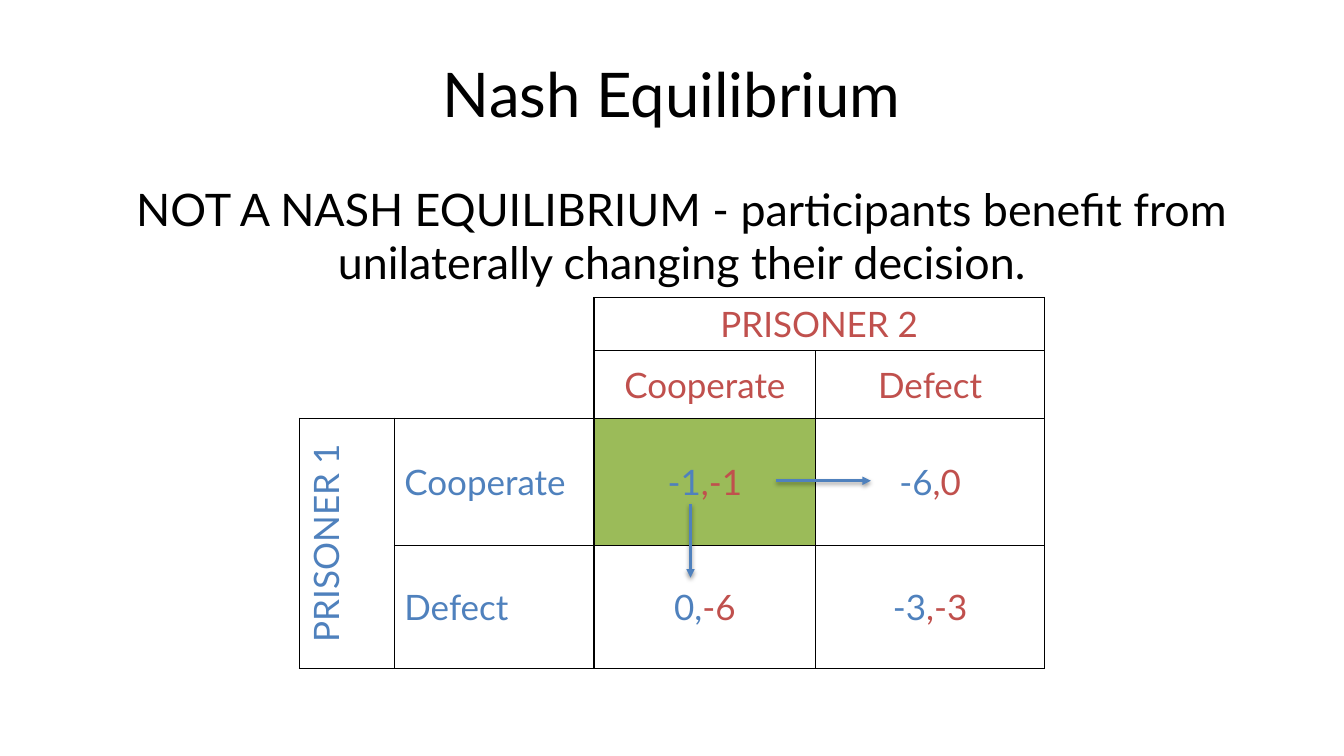
"""Builds a slide showing why mutual cooperation is not a Nash equilibrium."""
from lxml import etree
from pptx import Presentation
from pptx.dml.color import RGBColor
from pptx.enum.shapes import MSO_CONNECTOR as CONNECTOR
from pptx.enum.text import MSO_ANCHOR as ANCHOR, PP_ALIGN as ALIGN
from pptx.oxml import parse_xml
from pptx.oxml.ns import nsdecls, qn
from pptx.util import Pt

BLACK, WHITE, GREEN = "000000", "FFFFFF", "9BBB59"
BLUE, RED = "4F81BD", "C0504D"

TITLE = "Nash Equilibrium"
VERDICT = ("NOT A NASH EQUILIBRIUM - participants benefit from "
           "unilaterally changing their decision.")
MATRIX_LEFT, MATRIX_TOP = 214, 212.4
COLUMN_WIDTHS = [67.7, 142.6, 158.4, 163.4]
ROW_HEIGHTS = [38.2, 48.2, 90.7, 87.8]
MERGES = [((0, 0), (1, 1)), ((0, 2), (0, 3)), ((2, 0), (3, 0))]
LABELS = {
    (0, 2): [("PRISONER 2", RED)],
    (1, 2): [("Cooperate", RED)],
    (1, 3): [("Defect", RED)],
    (2, 0): [("PRISONER 1", BLUE)],
    (2, 1): [("Cooperate", BLUE)],
    (3, 1): [("Defect", BLUE)],
    (2, 2): [("-1", BLUE), (",-1", RED)],
    (2, 3): [("-6", BLUE), (",0", RED)],
    (3, 2): [("0,", BLUE), ("-6", RED)],
    (3, 3): [("-3", BLUE), (",-3", RED)],
}
SELECTED = (2, 2)
DEVIATIONS = [(554.4, 343.4, 622.1, 343.4), (493.2, 360, 493.2, 412.6)]


def rgb(value):
    return RGBColor.from_string(value)


def write(frame, runs, size=25, align=ALIGN.CENTER):
    paragraph = frame.paragraphs[0]
    paragraph.alignment = align
    for text, color in runs:
        run = paragraph.add_run()
        run.text = text
        run.font.name = "Lato"
        run.font.size = Pt(size)
        run.font.color.rgb = rgb(color)


def add_text(slide, text, left, top, width, height, size, anchor):
    frame = slide.shapes.add_textbox(
        Pt(left), Pt(top), Pt(width), Pt(height)).text_frame
    frame.word_wrap = True
    frame.vertical_anchor = anchor
    write(frame, [(text, BLACK)], size)


def set_borders(cell, visible):
    properties = cell._tc.get_or_add_tcPr()
    for side in "LRTB":
        line = etree.SubElement(properties, qn(f"a:ln{side}"), w=str(Pt(1)))
        if side in visible:
            fill = etree.SubElement(line, qn("a:solidFill"))
            etree.SubElement(fill, qn("a:srgbClr"), val=BLACK)
        else:
            etree.SubElement(line, qn("a:noFill"))


def add_matrix(slide):
    matrix = slide.shapes.add_table(
        len(ROW_HEIGHTS), len(COLUMN_WIDTHS), Pt(MATRIX_LEFT), Pt(MATRIX_TOP),
        Pt(sum(COLUMN_WIDTHS)), Pt(sum(ROW_HEIGHTS))).table
    matrix.first_row = matrix.horz_banding = False
    for column, width in zip(matrix.columns, COLUMN_WIDTHS):
        column.width = Pt(width)
    for row, height in zip(matrix.rows, ROW_HEIGHTS):
        row.height = Pt(height)
    for first, last in MERGES:
        matrix.cell(*first).merge(matrix.cell(*last))

    for r in range(len(ROW_HEIGHTS)):
        for c in range(len(COLUMN_WIDTHS)):
            cell = matrix.cell(r, c)
            set_borders(cell, "RB" if r < 2 and c < 2 else "LRTB")
            if (r, c) == SELECTED:
                cell.fill.solid()
                cell.fill.fore_color.rgb = rgb(GREEN)
            else:
                cell.fill.background()
            cell.vertical_anchor = ANCHOR.MIDDLE
            if (r, c) in LABELS:
                write(cell.text_frame, LABELS[r, c],
                      align=ALIGN.LEFT if c == 1 else ALIGN.CENTER)
    matrix.cell(2, 0)._tc.get_or_add_tcPr().set("vert", "vert270")


def add_arrow(slide, *ends):
    arrow = slide.shapes.add_connector(CONNECTOR.STRAIGHT, *map(Pt, ends))
    arrow.line.color.rgb = rgb(BLUE)
    arrow.line.width = Pt(2)
    etree.SubElement(arrow.line._get_or_add_ln(), qn("a:tailEnd"), type="triangle")
    arrow._element.spPr.append(parse_xml(
        f'<a:effectLst {nsdecls("a")}><a:outerShdw blurRad="{Pt(3.1)}" '
        f'dist="{Pt(1.6)}" dir="5400000" rotWithShape="0">'
        f'<a:srgbClr val="{BLACK}"><a:alpha val="38000"/></a:srgbClr>'
        '</a:outerShdw></a:effectLst>'))


def main():
    deck = Presentation()
    deck.slide_width, deck.slide_height = Pt(960), Pt(540)
    slide = deck.slides.add_slide(deck.slide_layouts[6])
    slide.background.fill.solid()
    slide.background.fill.fore_color.rgb = rgb(WHITE)
    add_text(slide, TITLE, 48, 21.6, 864, 90, 44, ANCHOR.MIDDLE)
    add_matrix(slide)
    add_text(slide, VERDICT, 48, 126, 878.4, 356.4, 32, ANCHOR.TOP)
    for ends in DEVIATIONS:
        add_arrow(slide, *ends)
    deck.save("out.pptx")


if __name__ == "__main__":
    main()
